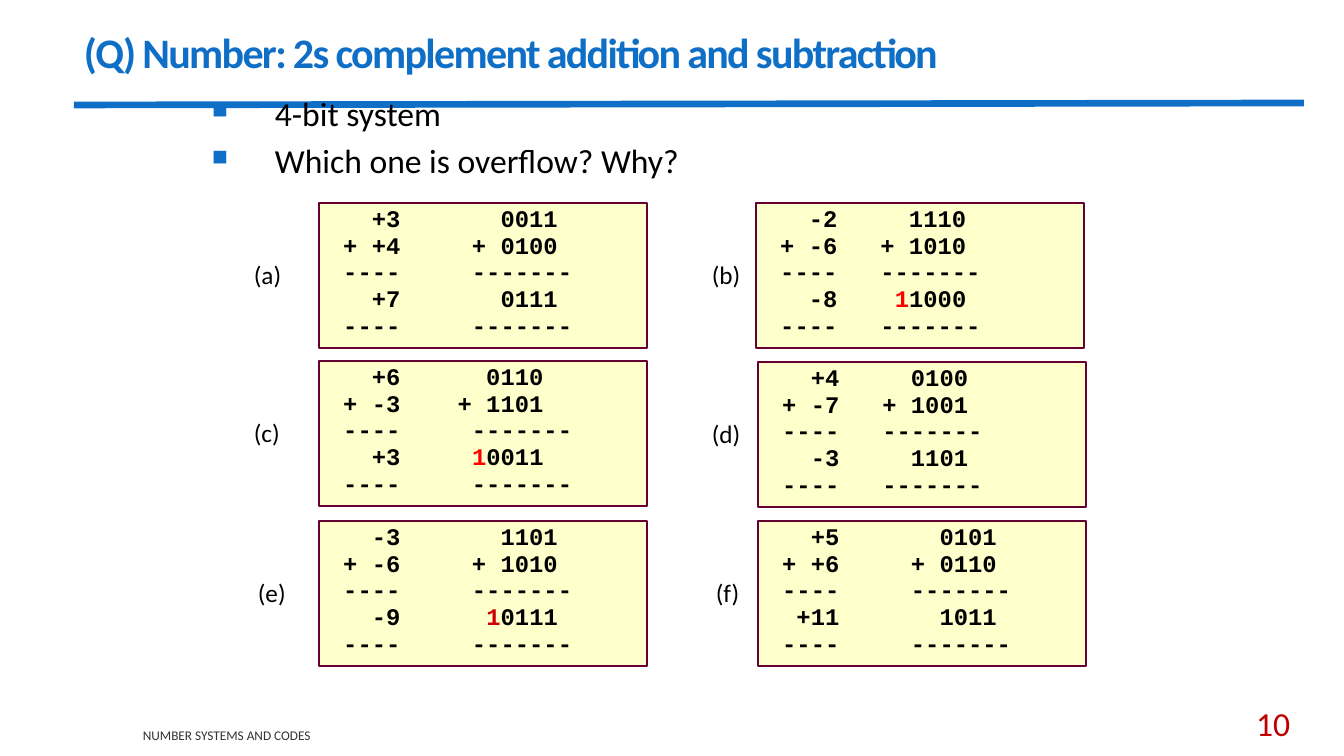
from lxml import etree
from pptx import Presentation
from pptx import util as u
from pptx.dml.color import RGBColor
from pptx.enum import shapes, text
from pptx.oxml.ns import qn

PIXEL = 914400 / 100.8
BLUE = RGBColor(0x0F, 0x6F, 0xC6)
BLACK = RGBColor(0, 0, 0)
GREY = RGBColor(0x33, 0x33, 0x33)
RED = RGBColor(0xFF, 0, 0)
DARK_RED = RGBColor(0xCC, 0, 0)
PAGE_RED = RGBColor(0xC0, 0, 0)
CREAM = RGBColor(0xFF, 0xFF, 0xCC)
MAROON = RGBColor(0x66, 0, 0x33)

CARD_WIDTH, CARD_HEIGHT = 328, 145
LABEL_WIDTH, LABEL_HEIGHT = 52, 40
LABEL_DROP = 51

# Label, label left, card left, card top, decimal terms, binary terms,
# carry digit, carry colour, binary column width, rule column width
PROBLEMS = [
    ("(a)", 244, 319, 203, ("+3", "+4", "+7"), ("0011", "0100", "0111"), "", RED, 11, 12),
    ("(b)", 702, 756, 203, ("-2", "-6", "-8"), ("1110", "1010", "1000"), "1", RED, 9, 10),
    ("(c)", 244, 319, 361, ("+6", "-3", "+3"), ("0110", "1101", "0011"), "1", RED, 10, 12),
    ("(d)", 702, 758, 362, ("+4", "-7", "-3"), ("0100", "1001", "1101"), "", RED, 9, 10),
    ("(e)", 248, 319, 521, ("-3", "-6", "-9"), ("1101", "1010", "0111"), "1", DARK_RED, 11, 12),
    ("(f)", 706, 758, 521, ("+5", "+6", "+11"), ("0101", "0110", "1011"), "", RED, 11, 12),
]


def px(length):
    """Turn pixels into EMU."""
    return u.Emu(round(length * PIXEL))


def add_run(paragraph, words, size, color, font="Calibri", bold=False):
    """Append one formatted run and return it."""
    run = paragraph.add_run()
    run.text = words
    run.font.name = font
    run.font.size = u.Pt(size)
    run.font.bold = bold
    run.font.color.rgb = color
    return run


def add_text_box(slide, box, anchor=text.MSO_ANCHOR.TOP):
    """Add an empty text box and return its text frame."""
    frame = slide.shapes.add_textbox(*map(px, box)).text_frame
    frame.word_wrap = True
    frame.vertical_anchor = anchor
    return frame


def next_paragraph(frame, index):
    """Return the first paragraph of a frame, or a new one after it."""
    return frame.add_paragraph() if index else frame.paragraphs[0]


def set_space_before(paragraph, percent):
    """Set the space before a paragraph as a share of its line."""
    properties = paragraph._p.get_or_add_pPr()
    space = etree.SubElement(properties, qn("a:spcBef"))
    etree.SubElement(space, qn("a:spcPct"), val=str(percent * 1000))


def add_title(slide, box):
    """Add the title and the blue line below it."""
    left, top, width, height = box
    line = slide.shapes.add_connector(
        shapes.MSO_CONNECTOR.STRAIGHT,
        px(left), px(top + 97), px(left + 1230), px(top + 95))
    line.line.color.rgb = BLUE
    line.line.width = u.Pt(4.75)
    etree.SubElement(line._element.spPr, qn("a:effectLst"))

    paragraph = add_text_box(slide, box, text.MSO_ANCHOR.MIDDLE).paragraphs[0]
    paragraph.line_spacing = 0.85
    run = add_run(paragraph, "(Q) Number: 2s complement addition and subtraction",
                  30, BLUE, bold=True)
    run.font._element.set("spc", "-120")


def add_bullets(slide, box, lines):
    """Add the list with square blue bullets."""
    frame = add_text_box(slide, box)
    for index, words in enumerate(lines):
        paragraph = next_paragraph(frame, index)
        set_space_before(paragraph, 20)
        properties = paragraph._p.get_or_add_pPr()
        properties.set("marL", str(px(63)))
        properties.set("indent", str(px(-63)))
        color = etree.SubElement(properties, qn("a:buClr"))
        etree.SubElement(color, qn("a:srgbClr"), val=str(BLUE))
        etree.SubElement(properties, qn("a:buSzPct"), val="65000")
        etree.SubElement(properties, qn("a:buChar"), char="\u25a0")
        add_run(paragraph, words, 24, BLACK)


def sum_lines(decimals, binaries, carry, width, rule_width):
    """Lay out a sum in two right-aligned columns, as (before, carry, after)."""
    rule = f"{'----':>5}{'-------':>{rule_width}}"
    first, second, total = decimals
    return [
        (f"{first:>5}{binaries[0]:>{width}}", "", ""),
        (f"{'+ ' + second:>5}{'+ ' + binaries[1]:>{width}}", "", ""),
        (rule, "", ""),
        (f"{total:>5}" + " " * (width - len(carry + binaries[2])), carry, binaries[2]),
        (rule, "", ""),
    ]


def add_card(slide, box, lines, carry_color):
    """Add a cream card that holds one worked sum."""
    card = slide.shapes.add_shape(shapes.MSO_SHAPE.RECTANGLE, *map(px, box))
    card.shadow.inherit = False
    card.fill.solid()
    card.fill.fore_color.rgb = CREAM
    card.line.color.rgb = MAROON
    card.line.width = u.Pt(1)
    frame = card.text_frame
    frame.word_wrap = True
    frame.vertical_anchor = text.MSO_ANCHOR.TOP
    for index, parts in enumerate(lines):
        paragraph = next_paragraph(frame, index)
        paragraph.alignment = text.PP_ALIGN.LEFT
        paragraph.line_spacing = 0.85
        set_space_before(paragraph, 10)
        for words, color in zip(parts, (BLACK, carry_color, BLACK)):
            if words:
                add_run(paragraph, words, 17, color, "Courier New", True)


def add_problems(slide):
    """Add every sum card with its label."""
    for (label, label_left, left, top, decimals, binaries,
         carry, carry_color, width, rule_width) in PROBLEMS:
        lines = sum_lines(decimals, binaries, carry, width, rule_width)
        add_card(slide, (left, top, CARD_WIDTH, CARD_HEIGHT), lines, carry_color)
        frame = add_text_box(
            slide, (label_left, top + LABEL_DROP, LABEL_WIDTH, LABEL_HEIGHT))
        add_run(frame.paragraphs[0], label, 18, BLACK)


def add_footer(slide, footer_box, number_box):
    """Add the course name and the page number."""
    footer = add_text_box(slide, footer_box, text.MSO_ANCHOR.MIDDLE)
    add_run(footer.paragraphs[0], "NUMBER SYSTEMS AND CODES", 9.5, GREY)
    number = add_text_box(slide, number_box, text.MSO_ANCHOR.BOTTOM).paragraphs[0]
    number.alignment = text.PP_ALIGN.RIGHT
    add_run(number, "10", 24, PAGE_RED)


def main():
    """Build and save the slide."""
    presentation = Presentation()
    presentation.slide_width, presentation.slide_height = px(1344), px(756)
    slide = presentation.slides.add_slide(presentation.slide_layouts[6])
    add_title(slide, (74, 8, 1187, 95))
    add_bullets(slide, (202, 88, 907, 110),
                ["4-bit system", "Which one is overflow? Why?"])
    add_problems(slide)
    add_footer(slide, (133, 723, 758, 25), (1169, 706, 131, 42))
    presentation.save("out.pptx")


main()
